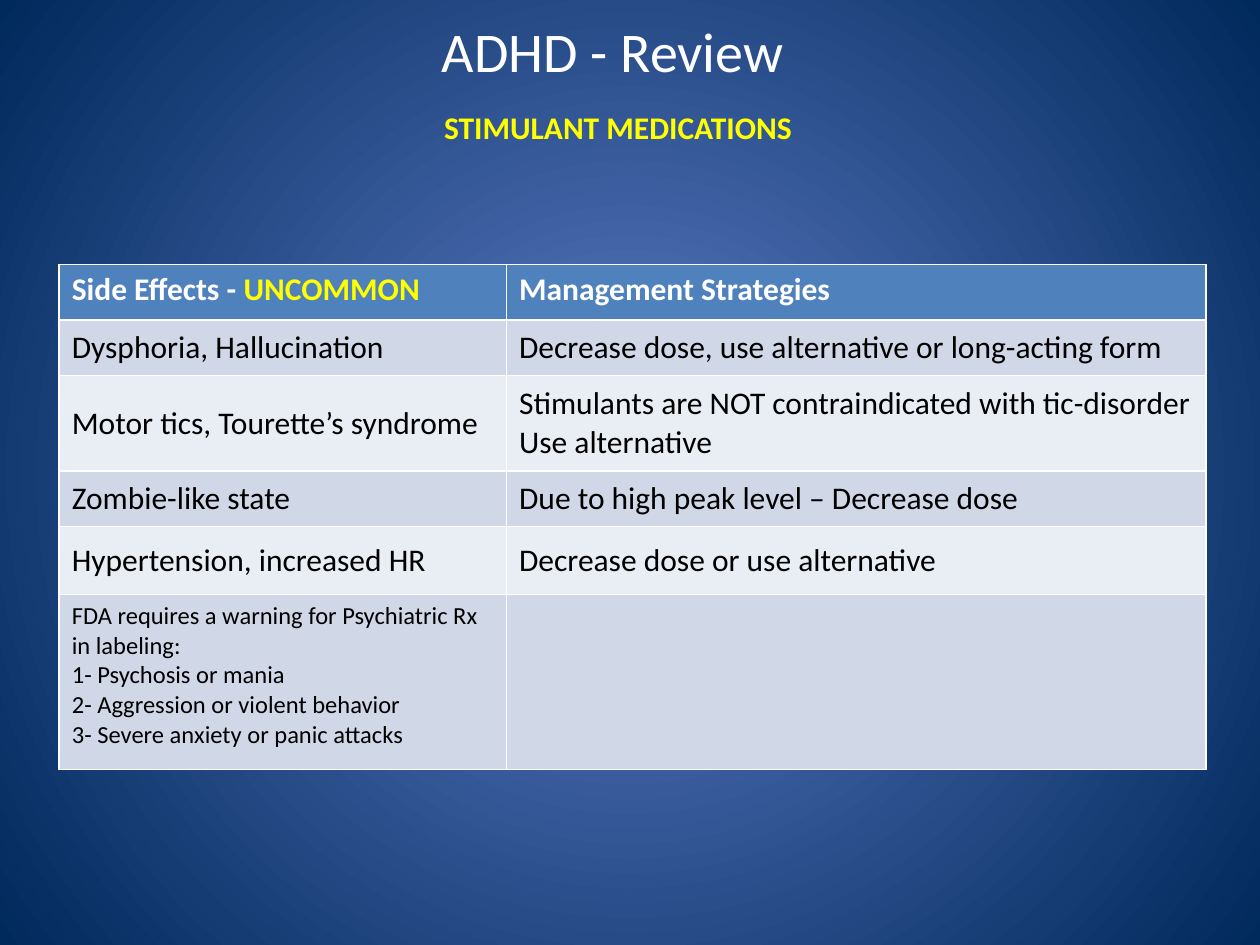
from lxml import etree
from pptx import Presentation
from pptx.dml.color import RGBColor
from pptx.enum import text
from pptx.oxml import ns
from pptx.util import Inches, Pt

FONT = "Calibri"
WHITE = RGBColor(0xFF, 0xFF, 0xFF)
BLACK = RGBColor(0, 0, 0)
YELLOW = RGBColor(0xFF, 0xFF, 0)
GLOW_BLUE = RGBColor(0x5E, 0x7C, 0xC5)
EDGE_BLUE = RGBColor(0, 0x29, 0x5C)
HEADER_BLUE = RGBColor(0x4F, 0x81, 0xBD)
BANDS = (RGBColor(0xD0, 0xD8, 0xE8), RGBColor(0xE9, 0xED, 0xF4))

COLUMN_WIDTHS = (3.55, 5.55)
ROW_HEIGHTS = (0.44, 0.44, 0.76, 0.44, 0.54, 1.39)
HEADINGS = (
    [[("Side Effects - ", WHITE), ("UNCOMMON", YELLOW)]],
    ["Management Strategies"],
)
EFFECTS = (
    (["Dysphoria, Hallucination"],
     ["Decrease dose, use alternative or long-acting form"]),
    (["Motor tics, Tourette’s syndrome"],
     ["Stimulants are NOT contraindicated with tic-disorder", "Use alternative"]),
    (["Zombie-like state"], ["Due to high peak level – Decrease dose"]),
    (["Hypertension, increased HR"], ["Decrease dose or use alternative"]),
)
WARNING = (
    ["FDA requires a warning for Psychiatric Rx in labeling:",
     "1- Psychosis or mania",
     "2- Aggression or violent behavior",
     "3- Severe anxiety or panic attacks"],
    [],
)


def write(frame, lines, size=18, color=BLACK, bold=False, align=None):
    """Fill a frame; a line is a string or a list of (string, colour) spans."""
    for index, line in enumerate(lines):
        para = frame.paragraphs[0] if index == 0 else frame.add_paragraph()
        para.alignment = align
        spans = [(line, color)] if isinstance(line, str) else line
        for words, span_color in spans:
            span = para.add_run()
            span.text = words
            span.font.name = FONT
            span.font.size = Pt(size)
            span.font.bold = bold
            span.font.color.rgb = span_color


def paint_background(page):
    """Radial gradient, light in the middle."""
    fill = page.background.fill
    fill.gradient()
    for stop, color, position in zip(fill.gradient_stops, (GLOW_BLUE, EDGE_BLUE), (0, 1)):
        stop.color.rgb = color
        stop.position = position
    gradient = page.background._cSld.find(".//" + ns.qn("a:gradFill"))
    linear = gradient.find(ns.qn("a:lin"))
    radial = etree.Element(ns.qn("a:path"), path="circle")
    etree.SubElement(radial, ns.qn("a:fillToRect"),
                     l="50000", t="50000", r="50000", b="50000")
    gradient.replace(linear, radial)


def add_title(page, words):
    title = page.shapes.title
    title.left, title.top = Inches(2.81), Inches(0.05)
    title.width, title.height = Inches(4.11), Inches(0.69)
    title.text_frame.vertical_anchor = text.MSO_ANCHOR.MIDDLE
    write(title.text_frame, [words], size=32, color=WHITE, align=text.PP_ALIGN.CENTER)


def add_heading(page, words):
    box = page.shapes.add_textbox(Inches(3.26), Inches(0.81), Inches(3.29), Inches(0.4))
    box.text_frame.word_wrap = True
    box.text_frame.auto_size = text.MSO_AUTO_SIZE.SHAPE_TO_FIT_TEXT
    write(box.text_frame, [words], color=YELLOW, bold=True, align=text.PP_ALIGN.CENTER)


def fill_row(row, contents, fill, anchor=None, **style):
    for cell, lines in zip(row.cells, contents):
        cell.fill.solid()
        cell.fill.fore_color.rgb = fill
        cell.vertical_anchor = anchor
        write(cell.text_frame, lines, **style)


def add_effects_table(page):
    table = page.shapes.add_table(
        len(ROW_HEIGHTS), len(COLUMN_WIDTHS), Inches(0.47), Inches(2.1),
        Inches(sum(COLUMN_WIDTHS)), Inches(sum(ROW_HEIGHTS))).table
    for column, width in zip(table.columns, COLUMN_WIDTHS):
        column.width = Inches(width)
    for row, height in zip(table.rows, ROW_HEIGHTS):
        row.height = Inches(height)

    fill_row(table.rows[0], HEADINGS, HEADER_BLUE, color=WHITE, bold=True)
    for index, contents in enumerate(EFFECTS):
        fill_row(table.rows[index + 1], contents, BANDS[index % 2],
                 anchor=text.MSO_ANCHOR.MIDDLE)
    fill_row(table.rows[len(EFFECTS) + 1], WARNING, BANDS[0], size=14)


def main():
    deck = Presentation()
    deck.slide_width, deck.slide_height = Inches(10), Inches(7.5)
    page = deck.slides.add_slide(deck.slide_layouts[0])
    subtitle = page.placeholders[1].element
    subtitle.getparent().remove(subtitle)

    paint_background(page)
    add_title(page, "ADHD - Review")
    add_heading(page, "STIMULANT MEDICATIONS")
    add_effects_table(page)
    deck.save("out.pptx")


if __name__ == "__main__":
    main()
